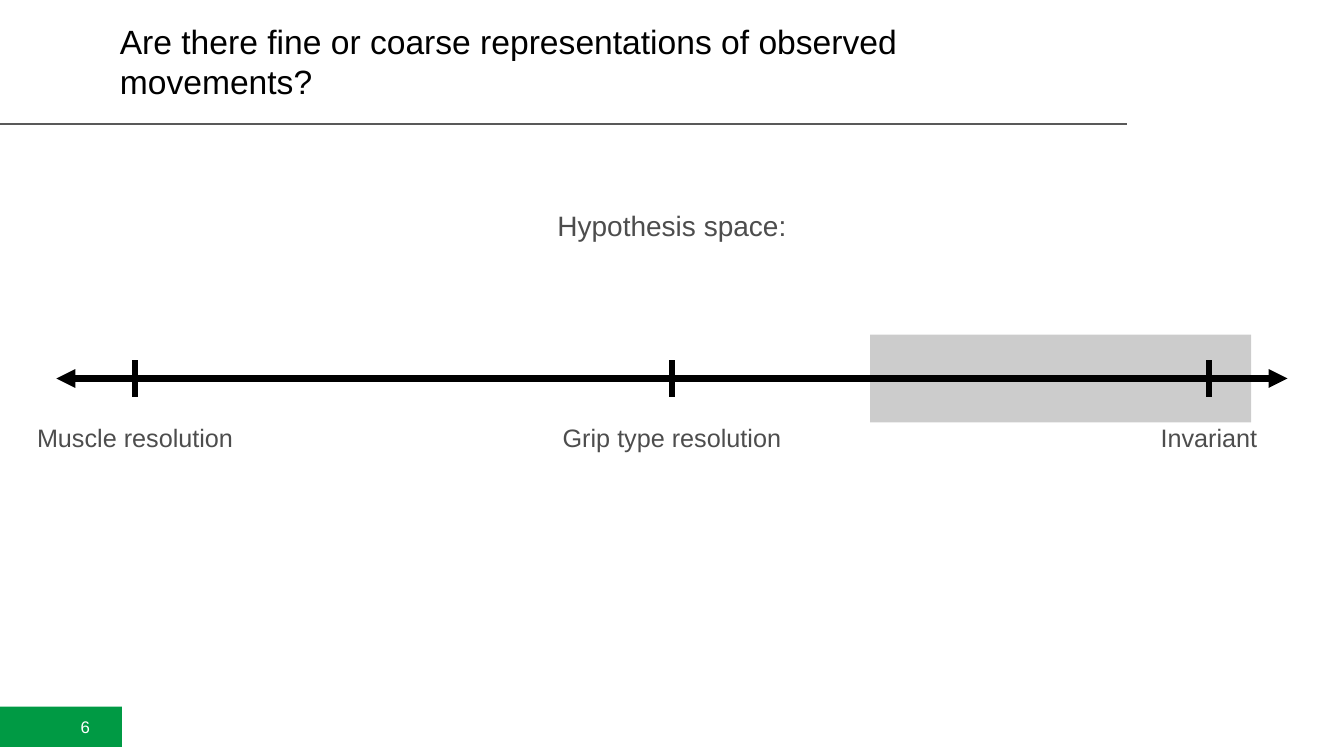
import pptx
import pptx.dml.color
import pptx.enum.shapes
import pptx.enum.text
import pptx.oxml.ns
import pptx.util
from lxml import etree

COLORS = {"green": "009A44", "rule": "595959", "text": "4D4D4D",
          "black": "000000", "white": "FFFFFF"}
SLIDE_W, SLIDE_H = 13.33, 7.5
ALIGN = pptx.enum.text.PP_ALIGN
ANCHOR = pptx.enum.text.MSO_ANCHOR
Inches = pptx.util.Inches


def rgb(name):
    return pptx.dml.color.RGBColor.from_string(COLORS[name])


def add_child(parent, tag, **attrs):
    return etree.SubElement(parent, pptx.oxml.ns.qn(tag), attrs)


def add_text(s, box, text, size, color, align=ALIGN.LEFT, anchor=ANCHOR.TOP, wrap=False):
    sp = s.shapes.add_textbox(*map(Inches, box))
    tf = sp.text_frame
    tf.word_wrap = wrap
    tf.vertical_anchor = anchor
    tf.text = text
    p = tf.paragraphs[0]
    p.alignment = align
    p.font.name = "Arial"
    p.font.size = pptx.util.Pt(size)
    p.font.color.rgb = rgb(color)


def add_line(s, x1, y1, x2, y2, color, width, arrows=False):
    line = s.shapes.add_connector(pptx.enum.shapes.MSO_CONNECTOR.STRAIGHT,
                                  *map(Inches, (x1, y1, x2, y2)))
    line.line.color.rgb = rgb(color)
    line.line.width = pptx.util.Pt(width)
    if arrows:
        for end in ("a:headEnd", "a:tailEnd"):
            add_child(line.line._get_or_add_ln(), end, type="triangle")
    add_child(line._element.spPr, "a:effectLst")


def add_rect(s, box, color, alpha=None):
    sp = s.shapes.add_shape(pptx.enum.shapes.MSO_SHAPE.RECTANGLE, *map(Inches, box))
    sp.shadow.inherit = False
    sp.fill.solid()
    sp.fill.fore_color.rgb = rgb(color)
    sp.line.fill.background()
    if alpha:
        fill = sp._element.spPr.find(pptx.oxml.ns.qn("a:solidFill"))
        add_child(fill[0], "a:alpha", val=str(alpha * 1000))


def add_header(s, box):
    x, y, w, h = box
    # Title and the rule under it
    add_text(s, (x + 1.09, y + 0.29, 9.43, 0.63),
             "Are there fine or coarse representations of observed movements?",
             24, "black", anchor=ANCHOR.MIDDLE, wrap=True)
    add_line(s, x, y + h, x + w, y + h, "rule", 1.5)


def add_page_number(s, box, number):
    x, y, w, h = box
    add_rect(s, box, "green")
    add_text(s, (x, y + 0.05, w - 0.22, h), number, 12, "white", ALIGN.RIGHT, wrap=True)


def add_hypothesis_axis(s, box):
    x, y, w, h = box
    center, axis_y = x + w / 2, y + h / 2
    step, half_tick = 5.325, 0.18

    # Heading above the axis
    add_text(s, (center - 1.25, y - 1.3, 2.5, 0.44), "Hypothesis space:",
             20, "text", ALIGN.CENTER)

    # Double-headed axis
    add_line(s, x, axis_y, x + w, axis_y, "black", 4.5, arrows=True)

    # Evenly spaced ticks with labels
    labels = ["Muscle resolution", "Grip type resolution", "Invariant"]
    for i, label in enumerate(labels):
        tick_x = center + (i - 1) * step
        add_line(s, tick_x, axis_y - half_tick, tick_x, axis_y + half_tick, "black", 4.5)
        add_text(s, (tick_x - 1.2, axis_y + 0.39, 2.4, 0.4), label,
                 18, "text", ALIGN.CENTER)

    # Translucent band over the invariant end
    add_rect(s, (x + 8.07, y, 3.78, h), "black", alpha=20)


def main():
    prs = pptx.Presentation()
    prs.slide_width, prs.slide_height = Inches(SLIDE_W), Inches(SLIDE_H)
    s = prs.slides.add_slide(prs.slide_layouts[6])
    add_page_number(s, (0, 7.01, 1.21, 0.4), "6")
    add_header(s, (0, 0, 11.18, 1.23))
    add_hypothesis_axis(s, (0.56, 3.32, 12.21, 0.87))
    prs.save("out.pptx")


if __name__ == "__main__":
    main()
